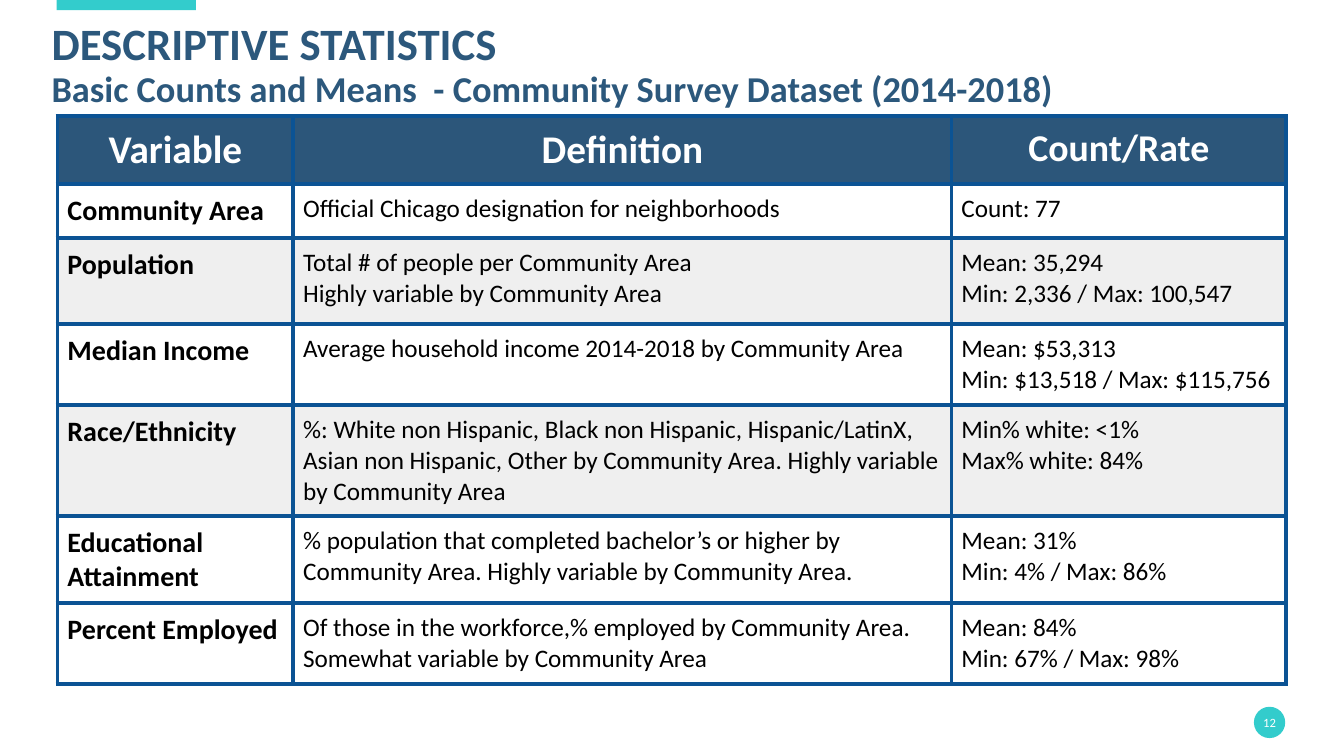
from lxml import etree
from pptx import Presentation
from pptx import util as u
from pptx.dml.color import RGBColor
from pptx.enum import shapes, text
from pptx.oxml import ns

TEAL, NAVY, BORDER = "33CCCC", "2C567A", "0B5394"
WHITE, GREY, BLACK = "FFFFFF", "EFEFEF", "000000"


def rgb(value):
    return RGBColor.from_string(value)


def write(tf, content, size, color=BLACK, bold=False, align=text.PP_ALIGN.LEFT,
          spacing=None):
    """Fill a text frame, one paragraph per line; size is one value or one per line."""
    lines = content.split("\n")
    sizes = size if isinstance(size, list) else [size] * len(lines)
    for i, (line, points) in enumerate(zip(lines, sizes)):
        p = tf.paragraphs[0] if i == 0 else tf.add_paragraph()
        p.alignment = align
        p.line_spacing = spacing
        r = p.add_run()
        r.text = line
        r.font.name = "Calibri"
        r.font.size = u.Pt(points)
        r.font.bold = bold
        r.font.color.rgb = rgb(color)


prs = Presentation()
prs.slide_width, prs.slide_height = u.Cm(33.87), u.Cm(19.05)
s = prs.slides.add_slide(prs.slide_layouts[6])

# Accent bar and page number badge
bar = s.shapes.add_shape(shapes.MSO_SHAPE.RECTANGLE,
                         u.Cm(1.43), u.Cm(0), u.Cm(3.51), u.Cm(0.26))
badge = s.shapes.add_shape(shapes.MSO_SHAPE.OVAL,
                           u.Cm(31.6), u.Cm(17.81), u.Cm(0.79), u.Cm(0.79))
for sp in (bar, badge):
    sp.shadow.inherit = False
    sp.fill.solid()
    sp.fill.fore_color.rgb = rgb(TEAL)
    sp.line.fill.background()

# Title
title = s.shapes.add_textbox(u.Cm(1.3), u.Cm(0.2), u.Cm(30.96), u.Cm(2.57))
for sp, anchor in ((badge, text.MSO_ANCHOR.MIDDLE), (title, text.MSO_ANCHOR.BOTTOM)):
    tf = sp.text_frame
    tf.margin_left = tf.margin_right = tf.margin_top = tf.margin_bottom = 0
    tf.vertical_anchor = anchor
    tf.word_wrap = sp is title
write(badge.text_frame, "12", 9, WHITE, align=text.PP_ALIGN.CENTER)
write(title.text_frame,
      "DESCRIPTIVE STATISTICS\n"
      "Basic Counts and Means  - Community Survey Dataset (2014-2018)",
      [32, 26], "2C587C", bold=True, spacing=0.9)

# Table contents
rows = [
    ("Variable", "Definition", "Count/Rate"),
    ("Community Area", "Official Chicago designation for neighborhoods", "Count: 77"),
    ("Population",
     "Total # of people per Community Area\nHighly variable by Community Area",
     "Mean: 35,294\nMin: 2,336 / Max: 100,547"),
    ("Median Income", "Average household income 2014-2018 by Community Area",
     "Mean: $53,313\nMin: $13,518 / Max: $115,756"),
    ("Race/Ethnicity",
     "%: White non Hispanic, Black non Hispanic, Hispanic/LatinX, Asian non Hispanic, "
     "Other by Community Area. Highly variable by Community Area",
     "Min% white: <1%\nMax% white: 84%"),
    ("Educational Attainment",
     "% population that completed bachelor’s or higher by Community Area. "
     "Highly variable by Community Area.",
     "Mean: 31%\nMin: 4% / Max: 86%"),
    ("Percent Employed",
     "Of those in the workforce,% employed by Community Area. "
     "Somewhat variable by Community Area",
     "Mean: 84%\nMin: 67% / Max: 98%"),
]
widths = [5.94, 16.59, 8.43]
heights = [1.71, 1.36, 2.17, 2.04, 2.8, 2.19, 2.04]
grey_rows = (2, 4)

# Table
table = s.shapes.add_table(len(rows), len(widths), u.Cm(1.45), u.Cm(2.92),
                           u.Cm(sum(widths)), u.Cm(sum(heights))).table
table.horz_banding = False
for column, width in zip(table.columns, widths):
    column.width = u.Cm(width)

for i, (row, height) in enumerate(zip(rows, heights)):
    table.rows[i].height = u.Cm(height)
    for j, content in enumerate(row):
        cell = table.cell(i, j)
        cell.margin_left = cell.margin_right = u.Cm(0.25)
        cell.margin_top = cell.margin_bottom = u.Cm(0.25)
        # Borders come before the fill in the cell properties
        tc_pr = cell._tc.get_or_add_tcPr()
        for side in ("a:lnL", "a:lnR", "a:lnT", "a:lnB"):
            ln = etree.SubElement(tc_pr, ns.qn(side), w=str(u.Pt(3)))
            fill = etree.SubElement(ln, ns.qn("a:solidFill"))
            etree.SubElement(fill, ns.qn("a:srgbClr"), val=BORDER)
        cell.fill.solid()
        if i == 0:
            cell.fill.fore_color.rgb = rgb(NAVY)
            write(cell.text_frame, content, 27 if j == 2 else 28, WHITE, bold=True,
                  align=text.PP_ALIGN.CENTER)
        else:
            cell.fill.fore_color.rgb = rgb(GREY if i in grey_rows else WHITE)
            write(cell.text_frame, content, 20 if j == 0 else 18, bold=j == 0)

prs.save("out.pptx")
